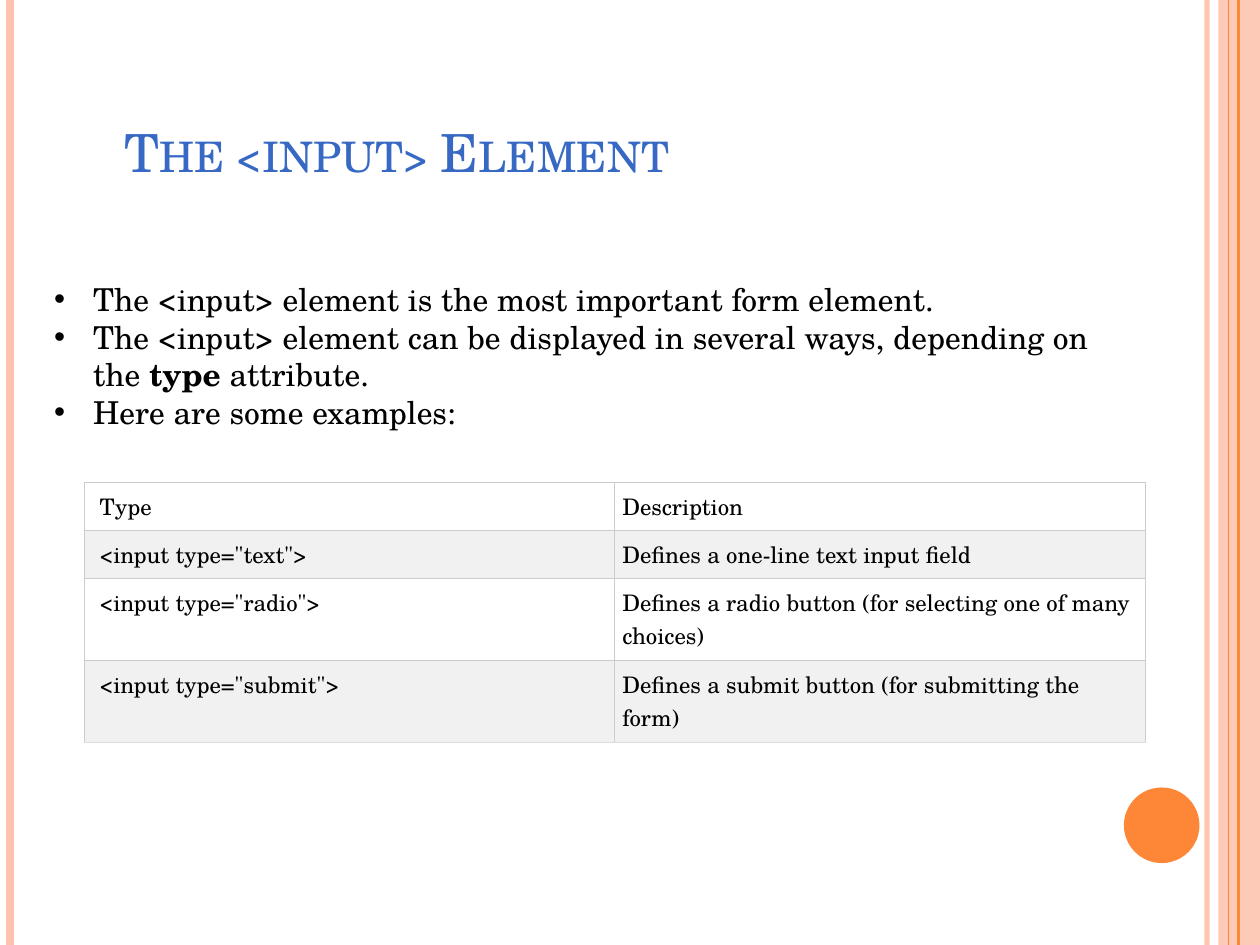
from dataclasses import dataclass

from lxml.etree import SubElement
from pptx import Presentation
from pptx.dml.color import RGBColor
from pptx.enum.shapes import MSO_CONNECTOR as CONN, MSO_SHAPE as SHAPE
from pptx.enum.text import MSO_ANCHOR as ANCHOR, MSO_AUTO_SIZE as AUTO, PP_ALIGN as ALIGN
from pptx.oxml.ns import qn
from pptx.util import Inches, Pt


@dataclass(frozen=True)
class Theme:
    font: str = "TeX Gyre Schola"
    title: str = "3668C4"
    text: str = "000000"
    peach: str = "FEC3AE"
    orange: str = "FE8637"
    border: str = "CCCCCC"
    last_border: str = "DDDDDD"
    bands: tuple = ("FFFFFF", "F1F1F1")
    title_size: int = 30
    body_size: int = 18
    table_size: int = 13


THEME = Theme()
STRIPES = [
    (9.58, THEME.peach, 3, 93),
    (0.08, THEME.peach, 4.5, 100),
    (9.83, THEME.orange, 1.5, 100),
    (9.75, THEME.orange, 0.75, 100),
]
BULLETS = [
    [("The <input> element is the most important form element.", False)],
    [
        ("The <input> element can be displayed in several ways, depending on the ", False),
        ("type", True),
        (" attribute.", False),
    ],
    [("Here are some examples:", False)],
]
ROWS = [
    ("Type", "Description"),
    ('<input type="text">', "Defines a one-line text input field"),
    ('<input type="radio">', "Defines a radio button (for selecting one of many choices)"),
    ('<input type="submit">', "Defines a submit button (for submitting the form)"),
]
ROW_HEIGHTS = (0.38, 0.38, 0.65, 0.65)


def rgb(color):
    return RGBColor.from_string(color)


def place(sp, left, top, width, height):
    sp.left, sp.top = Inches(left), Inches(top)
    sp.width, sp.height = Inches(width), Inches(height)


def style(p, size, color):
    p.font.name = THEME.font
    p.font.size = Pt(size)
    p.font.color.rgb = rgb(color)
    p.alignment = ALIGN.LEFT


def set_alpha(fill_parent, percent):
    color = next(fill_parent.iter(qn("a:srgbClr")))
    SubElement(color, qn("a:alpha"), val=str(percent * 1000))


def add_stripe(slide, x, color, width, alpha):
    line = slide.shapes.add_connector(CONN.STRAIGHT, Inches(x), 0, Inches(x), Inches(7.5))
    line.line.color.rgb = rgb(color)
    line.line.width = Pt(width)
    sp_pr = line._element.spPr
    if alpha < 100:
        set_alpha(sp_pr, alpha)
    SubElement(sp_pr, qn("a:effectLst"))


def add_solid(slide, kind, box, color, alpha=100):
    sp = slide.shapes.add_shape(kind, *map(Inches, box))
    sp.shadow.inherit = False
    sp.fill.solid()
    sp.fill.fore_color.rgb = rgb(color)
    sp.line.fill.background()
    if alpha < 100:
        set_alpha(sp._element.spPr, alpha)


def add_title(slide, text):
    sp = slide.shapes.title
    place(sp, 0.89, 0.75, 8.17, 1.25)
    tf = sp.text_frame
    tf.text = text
    tf.auto_size = AUTO.NONE
    tf.vertical_anchor = ANCHOR.BOTTOM
    tf.margin_bottom = Inches(0.55)
    p = tf.paragraphs[0]
    style(p, THEME.title_size, THEME.title)
    p.runs[0]._r.get_or_add_rPr().set("cap", "small")


def add_bullets(slide, items):
    sp = slide.placeholders[1]
    place(sp, 0.33, 2.17, 8.75, 1.62)
    tf = sp.text_frame
    tf.auto_size = AUTO.NONE
    tf.vertical_anchor = ANCHOR.TOP
    for i, item in enumerate(items):
        p = tf.add_paragraph() if i else tf.paragraphs[0]
        style(p, THEME.body_size, THEME.text)
        p.space_before = Pt(0)
        p_pr = p._p.get_or_add_pPr()
        p_pr.set("marL", str(Inches(0.31)))
        p_pr.set("indent", str(Inches(-0.31)))
        for text, bold in item:
            r = p.add_run()
            r.text = text
            if bold:
                r.font.bold = True


def set_borders(cell, bottom):
    tc_pr = cell._tc.get_or_add_tcPr()
    for side in "LRTB":
        ln = SubElement(tc_pr, qn(f"a:ln{side}"), w=str(Pt(0.75)))
        fill = SubElement(ln, qn("a:solidFill"))
        SubElement(fill, qn("a:srgbClr"), val=bottom if side == "B" else THEME.border)


def fill_cell(cell, text, left_margin, fill, bottom):
    cell.text = text
    cell.margin_left = Inches(left_margin)
    cell.margin_right = cell.margin_top = cell.margin_bottom = Inches(0.06)
    p = cell.text_frame.paragraphs[0]
    style(p, THEME.table_size, THEME.text)
    p.line_spacing = Pt(18.8)
    set_borders(cell, bottom)
    cell.fill.solid()
    cell.fill.fore_color.rgb = rgb(fill)


def add_type_table(slide, rows):
    box = (0.67, 3.83, 8.42, sum(ROW_HEIGHTS))
    table = slide.shapes.add_table(len(rows), 2, *map(Inches, box)).table
    table.first_row = table.horz_banding = False
    for i, (row, height) in enumerate(zip(rows, ROW_HEIGHTS)):
        table.rows[i].height = Inches(height)
        bottom = THEME.last_border if i == len(rows) - 1 else THEME.border
        for j, (text, margin) in enumerate(zip(row, (0.12, 0.06))):
            fill_cell(table.cell(i, j), text, margin, THEME.bands[i % 2], bottom)


def main():
    prs = Presentation()
    prs.slide_width, prs.slide_height = Inches(10), Inches(7.5)
    slide = prs.slides.add_slide(prs.slide_layouts[1])
    add_solid(slide, SHAPE.RECTANGLE, (9.67, 0, 0.33, 7.5), THEME.peach, 87)
    for stripe in STRIPES:
        add_stripe(slide, *stripe)
    add_solid(slide, SHAPE.OVAL, (8.92, 6.25, 0.6, 0.6), THEME.orange)
    add_title(slide, "The <input> Element")
    add_type_table(slide, ROWS)
    add_bullets(slide, BULLETS)
    prs.save("out.pptx")


if __name__ == "__main__":
    main()
